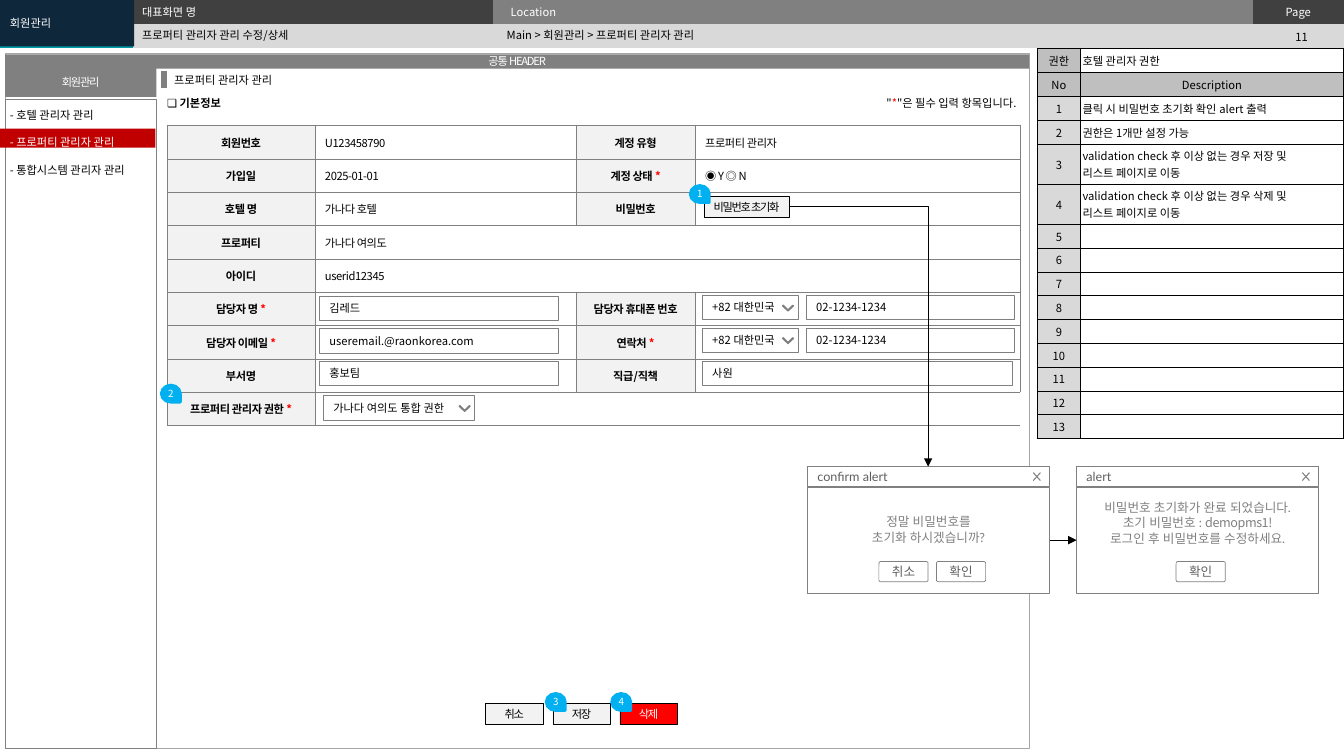
from pptx import Presentation
from pptx.dml.color import RGBColor
from pptx.enum.shapes import MSO_CONNECTOR as Connector, MSO_SHAPE as Preset
from pptx.enum.text import MSO_ANCHOR as Anchor, PP_ALIGN as Align
from pptx.oxml.ns import qn
from pptx.util import Cm, Pt
from lxml.etree import SubElement

SANS = "Noto Sans CJK KR"
BLACK, WHITE, GRAY, RED = "000000", "FFFFFF", "808080", "FF0000"
DARK, PALE, LIGHT, MIDDLE, ICON = "404040", "F2F2F2", "D9D9D9", "BFBFBF", "5F5F5F"
PLAIN_TABLE = "{2D5ABB26-0587-4C30-8999-92F81FD0307C}"


def rgb(color):
    return RGBColor.from_string(color)


# Text
def add_run(paragraph, text, color=BLACK, size=8, font=SANS, bold=False, spacing=0):
    run = paragraph.add_run()
    run.text = text
    run.font.size, run.font.name, run.font.bold = Pt(size), font, bold
    run.font.color.rgb = rgb(color)
    properties = run.font._element if hasattr(run.font, "_element") else run._r.get_or_add_rPr()
    SubElement(properties, qn("a:ea")).set("typeface", font)
    if spacing:
        properties.set("spc", str(round(spacing * 100)))


def write(frame, lines, align=Align.LEFT, line_spacing=None, **style):
    """Each line is a text or a list of (text, style) runs; asterisks turn red."""
    for index, line in enumerate(lines):
        paragraph = frame.paragraphs[0] if index == 0 else frame.add_paragraph()
        paragraph.alignment = align
        if line_spacing:
            paragraph.line_spacing = Pt(line_spacing)
        for text, changes in [(line, {})] if isinstance(line, str) else line:
            run_style = {**style, **changes}
            before, star, after = text.partition("*")
            if before:
                add_run(paragraph, before, **run_style)
            if star:
                add_run(paragraph, star, **{**run_style, "color": RED})
            if after:
                add_run(paragraph, after, **run_style)


def set_margins(target, side, vertical):
    target.margin_left = target.margin_right = Cm(side)
    target.margin_top = target.margin_bottom = Cm(vertical)


def add_label(slide, left, top, width, height, *lines, wrap=True, **style):
    frame = slide.shapes.add_textbox(Cm(left), Cm(top), Cm(width), Cm(height)).text_frame
    frame.word_wrap, frame.vertical_anchor = wrap, Anchor.MIDDLE
    set_margins(frame, 0.25, 0)
    write(frame, lines, **style)


# Shapes
def paint(shape, fill, line, weight):
    shape.shadow.inherit = False
    if fill:
        shape.fill.solid()
        shape.fill.fore_color.rgb = rgb(fill)
    else:
        shape.fill.background()
    if line:
        shape.line.color.rgb, shape.line.width = rgb(line), Pt(weight)
    else:
        shape.line.fill.background()


def add_box(slide, left, top, width, height, text="", fill=WHITE, line=GRAY, weight=0.25,
            preset=Preset.RECTANGLE, margin=0.25, **style):
    shape = slide.shapes.add_shape(preset, Cm(left), Cm(top), Cm(width), Cm(height))
    paint(shape, fill, line, weight)
    frame = shape.text_frame
    frame.word_wrap, frame.vertical_anchor = True, Anchor.MIDDLE
    set_margins(frame, margin, 0)
    if text:
        write(frame, [text], **style)
    return shape


def add_button(slide, left, top, width, text, fill=PALE, color=BLACK):
    add_box(slide, left, top, width, 0.53, text, fill, BLACK, margin=0,
            align=Align.CENTER, color=color, spacing=-0.9)


def add_badge(slide, left, top, number):
    badge = add_box(slide, left, top, 0.43, 0.48, number, "00B0F0", "00B0F0", 2, Preset.TEAR,
                    margin=0, align=Align.CENTER, color=WHITE, size=7)
    badge.rotation = 90
    badge.element.txBody.bodyPr.set("vert", "vert270")


def add_select(slide, left, top, width, text):
    add_box(slide, left, top, width, 0.61, text)
    x, y = left + width - 0.39, top + 0.25
    outline = [(0.02, 0), (0.14, 0.12), (0.26, 0), (0.28, 0.02), (0.14, 0.15)]
    builder = slide.shapes.build_freeform(Cm(x), Cm(y + 0.02))
    builder.add_line_segments([(Cm(x + dx), Cm(y + dy)) for dx, dy in outline], close=True)
    paint(builder.convert_to_shape(), ICON, GRAY, 0.75)


def add_close_icon(slide, left, top, width=0.18, height=0.2):
    right, bottom = left + width, top + height
    builder = slide.shapes.build_freeform(Cm(right), Cm(top))
    builder.add_line_segments([(Cm(left), Cm(bottom))], close=False)
    builder.move_to(Cm(left), Cm(top))
    builder.add_line_segments([(Cm(right), Cm(bottom))], close=False)
    paint(builder.convert_to_shape(), None, GRAY, 0.75)


def add_line(slide, start, end, color=BLACK, weight=0.75, arrow=False, bent=False):
    kind = Connector.ELBOW if bent else Connector.STRAIGHT
    line = slide.shapes.add_connector(kind, *(Cm(value) for value in start + end))
    line.line.color.rgb, line.line.width = rgb(color), Pt(weight)
    properties = line.element.spPr
    if bent:
        properties.find(qn("a:prstGeom")).set("prst", "bentConnector2")
    if arrow:
        SubElement(properties.find(qn("a:ln")), qn("a:tailEnd")).set("type", "triangle")
    SubElement(properties, qn("a:effectLst"))


def add_dialog(slide, left, title, message_top, message_height, message, buttons):
    add_box(slide, left, 12.27, 6.1, 2.69, weight=0.5)
    add_label(slide, left + 0.14, message_top, 5.82, message_height, *message,
              align=Align.CENTER, line_spacing=11, color=GRAY, size=9, font="Lato")
    add_box(slide, left, 11.76, 6.1, 0.51, title, weight=0.5, color=ICON, size=9, font="Lato")
    add_close_icon(slide, left + 5.69, 11.91)
    for offset, text in buttons:
        button = add_box(slide, left + offset, 14.15, 1.24, 0.51, text, weight=0.5, margin=0,
                         preset=Preset.ROUNDED_RECTANGLE, align=Align.CENTER,
                         color=ICON, size=9, font="Lato")
        button.adjustments[0] = 0.09


# Tables
def add_grid(slide, left, top, columns, rows):
    frame = slide.shapes.add_table(len(rows), len(columns), Cm(left), Cm(top),
                                   Cm(sum(columns)), Cm(sum(rows)))
    table = frame.table
    table.first_row = table.horz_banding = False
    frame.element.find(".//" + qn("a:tableStyleId")).text = PLAIN_TABLE
    for column, width in zip(table.columns, columns):
        column.width = Cm(width)
    for row, height in zip(table.rows, rows):
        row.height = Cm(height)
    return table


def fill_cell(cell, text, fill, margin=0.25, border=None, weight=0.25, right=None, **style):
    if border:
        properties = cell._tc.get_or_add_tcPr()
        for side in "LRTB":
            color = right if right and side == "R" else border
            line = SubElement(properties, qn("a:ln" + side), w=str(Pt(weight)))
            solid = SubElement(line, qn("a:solidFill"))
            SubElement(solid, qn("a:srgbClr"), val=color)
    cell.fill.solid()
    cell.fill.fore_color.rgb = rgb(fill)
    cell.vertical_anchor = Anchor.MIDDLE
    set_margins(cell, margin, 0.09)
    if text:
        write(cell.text_frame, text.split("\n"), **style)
    else:
        SubElement(cell.text_frame.paragraphs[0]._p, qn("a:endParaRPr"), sz="800")


def add_page_header(slide):
    table = add_grid(slide, 0, 0, [3.35, 9.07, 19.15, 2.3], [0.6, 0.6])
    table.cell(0, 0).merge(table.cell(1, 0))
    rows = [[("", "009CA6"), ("", DARK), ("Location", GRAY), ("Page", DARK)],
            [("", "009CA6"), ("", LIGHT), ("", LIGHT), ("", LIGHT)]]
    for r, row in enumerate(rows):
        for c, (text, fill) in enumerate(row):
            fill_cell(table.cell(r, c), text, fill, 0.45, color=WHITE,
                      align=Align.CENTER if c == 3 else Align.LEFT)
    add_label(slide, 31.7, 0.62, 2.21, 0.61, "11", align=Align.CENTER)
    add_label(slide, 3.33, 0.61, 9.22, 0.56, "프로퍼티 관리자 관리 수정/상세")
    add_label(slide, 12.52, 0.58, 18.75, 0.61, "Main > 회원관리 > 프로퍼티 관리자 관리")
    add_label(slide, 3.33, 0.02, 9.19, 0.56, "대표화면 명", color=WHITE)
    add_box(slide, 0, 0, 3.38, 1.17, "회원관리", "0E273B", None, color=WHITE)


def add_description(slide):
    notes = ["클릭 시 비밀번호 초기화 확인 alert 출력", "권한은 1개만 설정 가능"]
    notes += [f"validation check 후 이상 없는 경우 {action} 및\n리스트 페이지로 이동"
              for action in ("저장", "삭제")]
    rows = [("권한", "호텔 관리자 권한"), ("No", "Description")]
    rows += [(str(n), notes[n - 1] if n <= len(notes) else "") for n in range(1, 14)]
    table = add_grid(slide, 26.14, 1.23, [1.09, 6.63],
                     [1.01 if "\n" in note else 0.6 for _, note in rows])
    for r, (number, note) in enumerate(rows):
        fill_cell(table.cell(r, 0), number, MIDDLE if r < 2 else LIGHT, 0.05, BLACK, 0.5,
                  align=Align.CENTER)
        fill_cell(table.cell(r, 1), note, MIDDLE if r == 1 else WHITE, 0.05, BLACK, 0.5,
                  align=Align.CENTER if r == 1 else Align.LEFT)


def add_member_form(slide):
    rows = [("회원번호", "U123458790", "계정 유형", "프로퍼티 관리자"),
            ("가입일", "2025-01-01", "계정 상태 *", "◉ Y ◎ N"),
            ("호텔 명", "가나다 호텔", "비밀번호", ""),
            ("프로퍼티", "가나다 여의도"), ("아이디", "userid12345"),
            ("담당자 명 *", "", "담당자 휴대폰 번호", ""),
            ("담당자 이메일 *", "", "연락처 *", ""),
            ("부서명", "", "직급/직책", ""), ("프로퍼티 관리자 권한 *", "")]
    table = add_grid(slide, 4.21, 3.16, [3.73, 6.58, 3, 8.2], [0.84] * len(rows))
    for r, row in enumerate(rows):
        if len(row) == 2:
            table.cell(r, 1).merge(table.cell(r, 3))
        for c, text in enumerate(row + ("",) * (4 - len(row))):
            label = c == 0 or (c == 2 and len(row) == 4)
            fill_cell(table.cell(r, c), text, PALE if label else WHITE, border=GRAY,
                      right=WHITE if r == 8 and c > 0 else None, bold=label, spacing=-0.3,
                      align=Align.CENTER if label else Align.LEFT)
    # Input fields
    for top, text in [(7.47, "김레드"), (8.28, "useremail.@raonkorea.com"), (9.09, "홍보팀")]:
        add_box(slide, 8.05, top, 6.02, 0.61, text)
    add_box(slide, 17.7, 9.09, 7.82, 0.61, "사원")
    for top in (7.44, 8.26):
        add_select(slide, 17.7, top, 2.41, "+82 대한민국")
        add_box(slide, 20.32, top, 5.23, 0.61, "02-1234-1234")
    add_select(slide, 8.15, 9.97, 3.81, "가나다 여의도 통합 권한")
    add_button(slide, 17.75, 4.95, 2.13, "비밀번호 초기화")


def add_sidebar(slide):
    add_box(slide, 0.13, 2.49, 3.81, 16.36, fill=None)
    for top, width, height, text in [(1.37, 25.81, 0.36, "공통 HEADER"),
                                     (1.7, 3.81, 0.74, "회원관리")]:
        add_box(slide, 0.13, top, width, height, text, GRAY, None, margin=0.1,
                align=Align.CENTER, color=WHITE, spacing=-0.9)
    add_box(slide, 0, 3.24, 3.92, 0.48, fill="C00000", line=None)
    add_label(slide, 0, 2.4, 3.9, 2.04, "- 호텔 관리자 관리",
              [("- 프로퍼티 관리자 관리", {"color": WHITE})], "- 통합시스템 관리자 관리",
              line_spacing=19.3)


def main():
    presentation = Presentation()
    presentation.slide_width, presentation.slide_height = Cm(33.87), Cm(19.05)
    slide = presentation.slides.add_slide(presentation.slide_layouts[6])

    # Frame and navigation
    add_page_header(slide)
    add_box(slide, 0.13, 1.35, 25.81, 17.5, fill=None, line="A6A6A6")
    add_sidebar(slide)
    add_description(slide)

    # Member form
    add_label(slide, 4.14, 1.7, 6.12, 0.61, "프로퍼티 관리자 관리")
    add_line(slide, (4.14, 1.8), (4.14, 2.21), GRAY, 4.5)
    add_member_form(slide)
    add_label(slide, 3.96, 2.29, 1.93, 0.61, "❏ 기본정보", wrap=False, bold=True)
    add_label(slide, 21.6, 2.29, 4.27, 0.61, '"*"은 필수 입력 항목입니다.', wrap=False,
              align=Align.RIGHT)

    # Bottom buttons and numbered badges
    for index, (text, fill, color) in enumerate([("취소", PALE, BLACK), ("저장", PALE, BLACK),
                                                 ("삭제", RED, WHITE)]):
        add_button(slide, 12.24 + 1.69 * index, 17.73, 1.45, text, fill, color)
    badges = [(17.42, 4.65), (4.09, 9.68), (13.79, 17.45), (15.44, 17.45)]
    for number, (left, top) in enumerate(badges, 1):
        add_badge(slide, left, top, str(number))

    # Password reset dialogs
    add_dialog(slide, 20.35, "confirm alert", 12.82, 1.04,
               ["정말 비밀번호를", "초기화 하시겠습니까?"], [(1.8, "취소"), (3.25, "확인")])
    add_line(slide, (19.88, 5.21), (23.39, 11.76), arrow=True, bent=True)
    password = ("demopms1!", {"font": SANS, "spacing": -0.3})
    add_dialog(slide, 27.13, "alert", 12.22, 1.9,
               ["비밀번호 초기화가 완료 되었습니다.", [("초기 비밀번호 : ", {}), password],
                "로그인 후 비밀번호를 수정하세요."], [(2.51, "확인")])
    add_line(slide, (26.45, 13.61), (27.13, 13.61), arrow=True)

    presentation.save("out.pptx")


if __name__ == "__main__":
    main()
